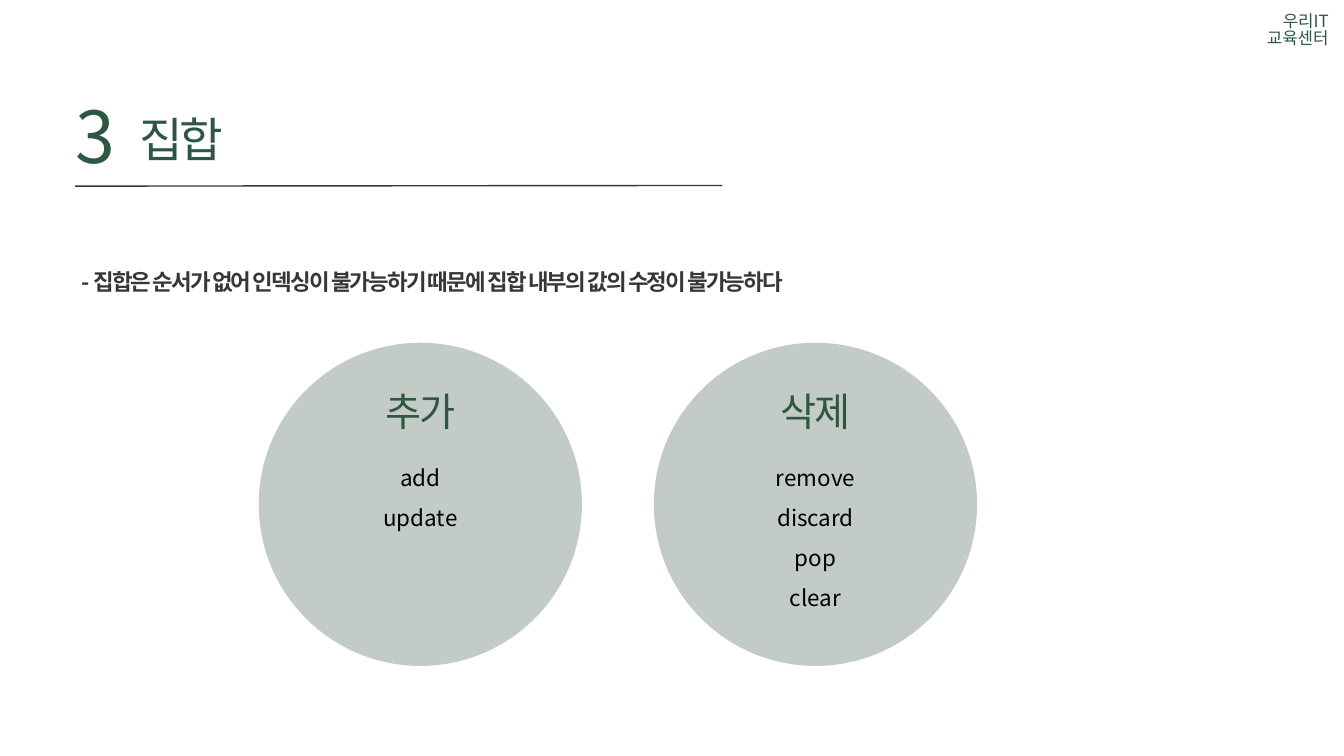
from pptx import Presentation
from pptx.dml.color import RGBColor
from pptx.enum import shapes, text
from pptx.oxml import ns, xmlchemy
from pptx.util import Inches, Pt

GREEN = RGBColor(0x2E, 0x57, 0x43)
GRAY = RGBColor(0x37, 0x37, 0x37)
PALE = RGBColor(0xC3, 0xCB, 0xC7)
BLACK = RGBColor(0, 0, 0)
FACE = "Noto Sans CJK KR"
LEFT, MID, RIGHT = text.PP_ALIGN.LEFT, text.PP_ALIGN.CENTER, text.PP_ALIGN.RIGHT

# Content
CENTER = "우리IT\v교육센터"
NUMBER, TITLE = "3", "집합"
NOTE = "- 집합은 순서가 없어 인덱싱이 불가능하기 때문에 집합 내부의 값의 수정이 불가능하다"
GROUPS = [
    ("추가", ["add", "update"]),
    ("삭제", ["remove", "discard", "pop", "clear"]),
]

# Text styles: font values, alignment, line spacing, tracking, box margin
STYLES = {
    "center": (dict(size=Pt(18), color=GREEN), RIGHT, 0.87, 0, 0.1),
    "number": (dict(size=Pt(76.8), color=GREEN), LEFT, Pt(107.5), -5.1, 0),
    "title": (dict(size=Pt(50.8), color=GREEN), LEFT, Pt(71.1), -3.4, 0),
    "note": (dict(size=Pt(24), color=GRAY, bold=True), LEFT, 2.0, -2, 0.1),
    "head": (dict(size=Pt(42), color=GREEN), MID, Pt(58.5), -2.8, 0),
    "list": (dict(size=Pt(24), color=BLACK), MID, 1.5, 0, 0.1),
}


def place(shape, box):
    for key, val in zip(("left", "top", "width", "height"), box):
        setattr(shape, key, Inches(val))


def write(shape, lines, style):
    font, align, space, track, pad = STYLES[style]
    frame = shape.text_frame
    frame.word_wrap = True
    frame.auto_size = text.MSO_AUTO_SIZE.NONE
    frame.vertical_anchor = text.MSO_ANCHOR.TOP
    for side, size in dict(left=pad, right=pad, top=pad / 2, bottom=pad / 2).items():
        setattr(frame, "margin_" + side, Inches(size))
    frame.text = "\n".join(lines)
    for para in frame.paragraphs:
        para.alignment, para.line_spacing = align, space
        para.space_before = para.space_after = Pt(0)
        for run in para.runs:
            run.font.name = FACE
            for key, val in font.items():
                if key == "color":
                    run.font.color.rgb = val
                else:
                    setattr(run.font, key, val)
            props = run._r.get_or_add_rPr()
            props.set("spc", str(round(track * 100)))
            asian = xmlchemy.OxmlElement("a:ea")
            asian.set("typeface", FACE)
            props.find(ns.qn("a:latin")).addnext(asian)


def label(parent, box, lines, style):
    write(parent.add_textbox(*map(Inches, box)), lines, style)


def circle(parent, x, y, size):
    disc = parent.add_shape(shapes.MSO_SHAPE.OVAL, *map(Inches, (x, y, size, size)))
    disc.shadow.inherit = False
    disc.fill.solid()
    disc.fill.fore_color.rgb = PALE
    disc.line.fill.background()


def main():
    deck = Presentation()
    deck.slide_width, deck.slide_height = Inches(20), Inches(11.25)
    slide = deck.slides.add_slide(deck.slide_layouts[1])
    items = slide.shapes

    # Header
    label(items, (17.95, 0.15, 1.92, 0.75), [CENTER], "center")
    rule = items.add_connector(
        shapes.MSO_CONNECTOR.STRAIGHT, *map(Inches, (1.12, 2.77, 10.75, 2.76)))
    rule.line.color.rgb, rule.line.width = GRAY, Pt(1.5)
    rule._element.spPr.append(xmlchemy.OxmlElement("a:effectLst"))
    label(items, (1.12, 1.16, 0.79, 1.38), [NUMBER], "number")
    place(items.title, (2.07, 1.5, 5.98, 0.92))
    write(items.title, [TITLE], "title")

    # Statement
    body = slide.placeholders[1]
    place(body, (1.12, 3.54, 11.8, 0.79))
    write(body, [NOTE], "note")
    props = body.text_frame.paragraphs[0]._p.get_or_add_pPr()
    props.set("marL", "0")
    props.set("indent", "0")
    props.append(xmlchemy.OxmlElement("a:buNone"))

    # Method circles
    first, top, size, step = 3.85, 5.1, 4.81, 5.88
    for i, (head, names) in enumerate(GROUPS):
        x = first + i * step
        mid = x + size / 2
        group = items.add_group_shape().shapes
        circle(group, x, top, size)
        label(group, (mid - 1.28, 5.65, 2.56, 0.75), [head], "head")
        label(group, (mid - 1.95, 6.65, 3.9, 0.1 + 0.6 * len(names)), names, "list")

    deck.save("out.pptx")


if __name__ == "__main__":
    main()
